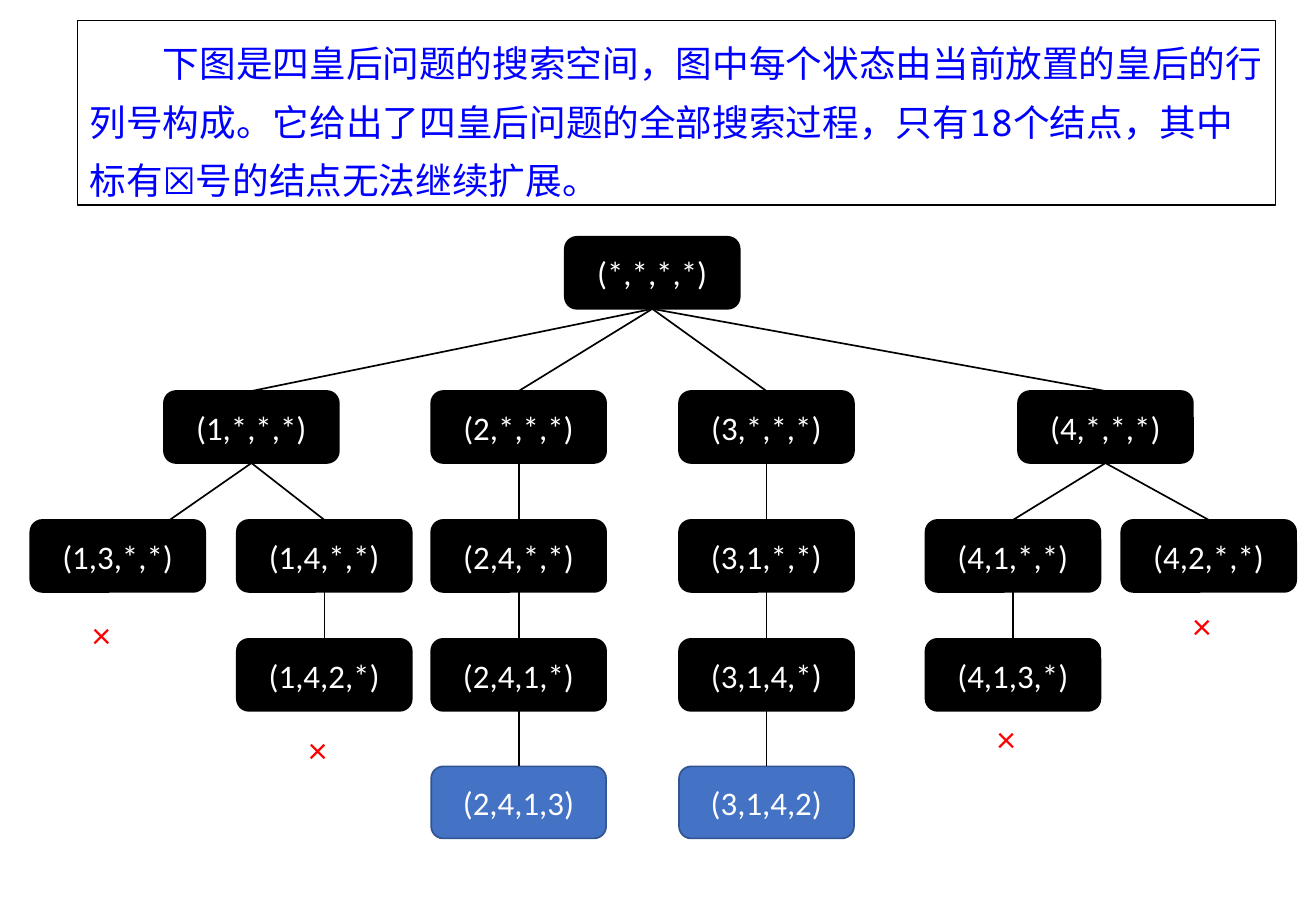
from lxml.etree import SubElement
from pptx import Presentation
from pptx.dml.color import RGBColor
from pptx.enum.lang import MSO_LANGUAGE_ID as LANGUAGE
from pptx.enum.shapes import MSO_CONNECTOR as CONNECTOR, MSO_SHAPE as SHAPE
from pptx.enum.text import MSO_ANCHOR as ANCHOR, PP_ALIGN as ALIGN
from pptx.oxml.ns import qn
from pptx.util import Pt

INTRO = (
    "下图是四皇后问题的搜索空间，图中每个状态由当前放置的皇后的行列号构成。"
    "它给出了四皇后问题的全部搜索过程，只有18个结点，其中标有☒号的结点无法继续扩展。"
)
QUEENS = 4
NODE_WIDTH, NODE_HEIGHT = 103.7, 42.7
LEVEL_TOPS = [140.4, 231.8, 308.2, 378.7, 454.3]

# Queens placed so far -> left edge of the node
NODE_LEFTS = {
    "": 334.8,
    "1": 97.2, "13": 18, "14": 140.4, "142": 140.4,
    "2": 255.6, "24": 255.6, "241": 255.6, "2413": 255.6,
    "3": 402.5, "31": 402.5, "314": 402.5, "3142": 402.5,
    "4": 603.4, "41": 548.6, "413": 548.6, "42": 664.6,
}
# This edge runs into its node off centre
FREE_EDGE_ENDS = {"13": (91.4, 314.6)}
DEAD_END_MARKS = [(54.7, 362.9), (182.9, 430.6), (591.1, 424.1), (707, 357.1)]


def colour(value):
    return RGBColor.from_string(value)


def style_font(font, name, size, hex_colour):
    font.name = name
    font.size = Pt(size)
    font.color.rgb = colour(hex_colour)


def add_filled_shape(page, kind, bounds, fill, line, line_width):
    shape = page.shapes.add_shape(kind, *map(Pt, bounds))
    shape.shadow.inherit = False
    shape.fill.solid()
    shape.fill.fore_color.rgb = colour(fill)
    shape.line.color.rgb = colour(line)
    shape.line.width = Pt(line_width)
    return shape


def add_intro(page):
    box = add_filled_shape(page, SHAPE.RECTANGLE, (46.1, 12.2, 709.9, 109.4),
                           "FFFFFF", "000000", 0.75)
    frame = box.text_frame
    frame.word_wrap = True
    frame.vertical_anchor = ANCHOR.TOP
    frame.text = INTRO
    para = frame.paragraphs[0]
    para.alignment = ALIGN.LEFT
    para.line_spacing = Pt(34.7)
    para._p.get_or_add_pPr().set("indent", str(Pt(43.4)))
    span = para.runs[0]
    style_font(span.font, "Noto Sans Mono", 21.7, "0000FF")
    span.font.language_id = LANGUAGE.SIMPLIFIED_CHINESE
    SubElement(span._r.get_or_add_rPr(), qn("a:ea"), typeface="Noto Sans Mono")


def add_node(page, queens, left):
    """Draw one state; a state with every queen placed is a solution."""
    solved = len(queens) == QUEENS
    fill, line = ("4472C4", "325491") if solved else ("000000", "000000")
    bounds = (left, LEVEL_TOPS[len(queens)], NODE_WIDTH, NODE_HEIGHT)
    node = add_filled_shape(page, SHAPE.ROUNDED_RECTANGLE, bounds, fill, line, 1)
    frame = node.text_frame
    frame.vertical_anchor = ANCHOR.MIDDLE
    frame.text = f"({','.join(queens.ljust(QUEENS, '*'))})"
    para = frame.paragraphs[0]
    para.alignment = ALIGN.CENTER
    style_font(para.runs[0].font, "Calibri", 19.5, "FFFFFF")
    return node


def add_edge(page, parent, child, free_end=None):
    """Join parent bottom to child top, or to a free end point."""
    end_x, end_y = free_end or (0, 0)
    edge = page.shapes.add_connector(CONNECTOR.STRAIGHT, 0, 0, Pt(end_x), Pt(end_y))
    edge.begin_connect(parent, 2)
    if free_end is None:
        edge.end_connect(child, 0)
    edge.line.color.rgb = colour("000000")
    edge.line.width = Pt(1)
    SubElement(edge._element.spPr, qn("a:effectLst"))


def add_dead_end_mark(page, left, top):
    box = page.shapes.add_textbox(Pt(left), Pt(top), Pt(24.5), Pt(25.9))
    frame = box.text_frame
    frame.word_wrap = True
    frame.margin_left = frame.margin_right = 0
    frame.margin_top = frame.margin_bottom = 0
    frame.text = "×"
    style_font(frame.paragraphs[0].runs[0].font, "Calibri", 21.7, "FF0000")


def main():
    deck = Presentation()
    deck.slide_width, deck.slide_height = Pt(780), Pt(540)
    page = deck.slides.add_slide(deck.slide_layouts[6])
    add_intro(page)
    nodes = {queens: add_node(page, queens, left)
             for queens, left in NODE_LEFTS.items()}
    for queens, node in nodes.items():
        if queens:
            add_edge(page, nodes[queens[:-1]], node, FREE_EDGE_ENDS.get(queens))
    for left, top in DEAD_END_MARKS:
        add_dead_end_mark(page, left, top)
    deck.save("out.pptx")


if __name__ == "__main__":
    main()
